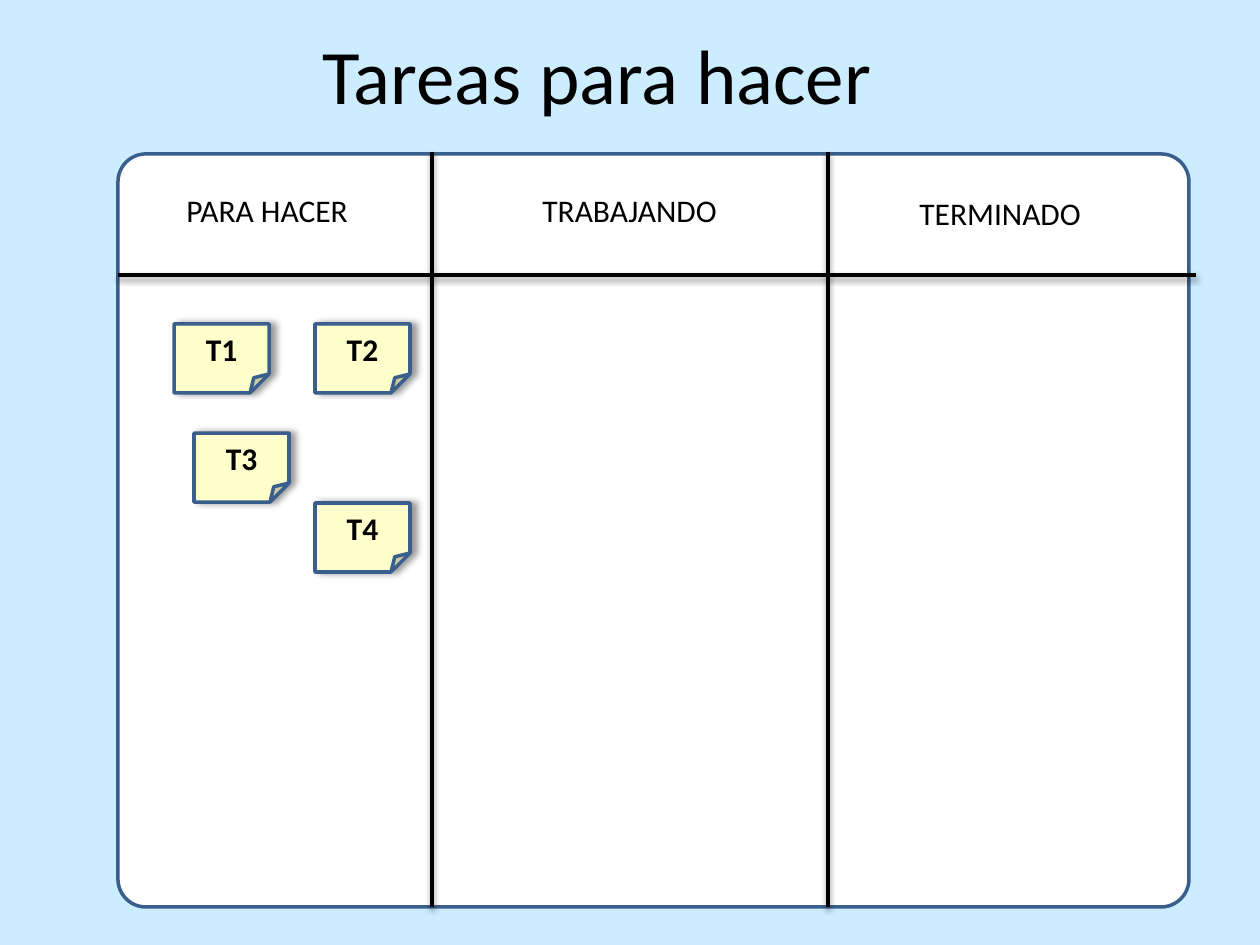
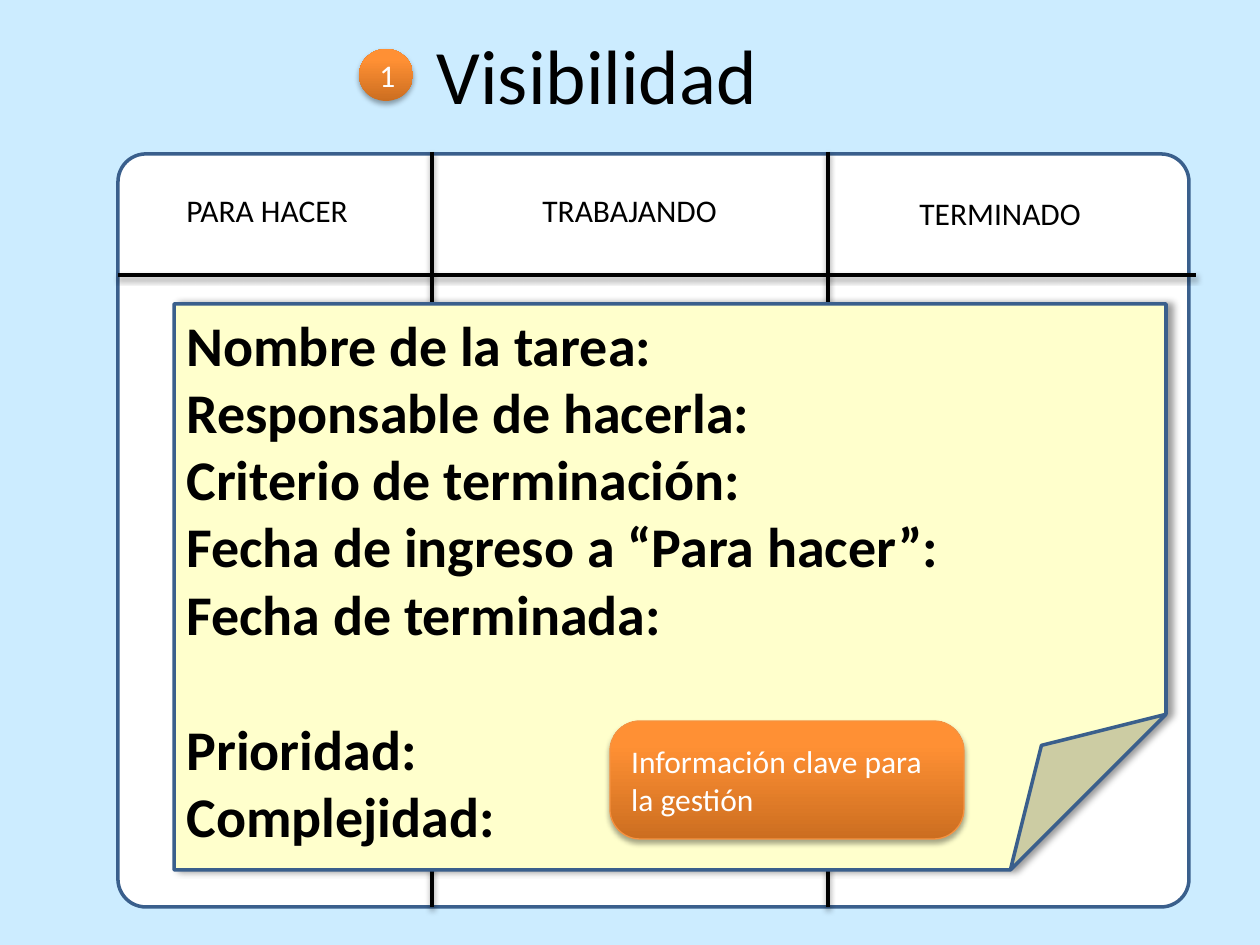
from copy import deepcopy

from pptx import Presentation
from pptx.dml.color import RGBColor
from pptx.enum.shapes import MSO_CONNECTOR as Connector, MSO_SHAPE as Shape
from pptx.enum.text import MSO_ANCHOR as Anchor, MSO_AUTO_SIZE as AutoSize, PP_ALIGN as Align
from pptx.oxml.ns import qn
from pptx.oxml.xmlchemy import OxmlElement
from pptx.util import Emu, Pt

PX = 914400 / 126
SKY = RGBColor(0xCC, 0xEC, 0xFF)
WHITE = RGBColor(0xFF, 0xFF, 0xFF)
BLACK = RGBColor(0, 0, 0)
BLUE = RGBColor(0x3A, 0x5F, 0x8C)
YELLOW = RGBColor(0xFF, 0xFF, 0xCC)
ORANGE = RGBColor(0xF6, 0x92, 0x40)
ORANGE_STOPS = [
    (0, RGBColor(0xCC, 0x6E, 0x20)),
    (0.8, RGBColor(0xFF, 0x90, 0x34)),
    (1, RGBColor(0xFF, 0x91, 0x36)),
]
# opacity in percent, blur and distance in points, direction in degrees
SOFT_SHADOW = (35, 3.1, 1.8, 90)
NOTE_SHADOW = (40, 4, 3, 0)

TITLE_BOX = (118, 21, 958, 106)
BOARD_BOX = (118, 154, 1071, 753)
RULES = [(118, 275, 1196, 275), (432, 152, 432, 907), (828, 152, 828, 907)]
HEADINGS = [
    ("PARA HACER", (174, 185, 188, 50)),
    ("TRABAJANDO", (530, 185, 202, 50)),
    ("TERMINADO", (907, 188, 188, 50)),
]
TASKS = [("T1", 174, 324), ("T2", 315, 324), ("T3", 194, 433), ("T4", 315, 503)]
CARD_FIELDS = [
    "Nombre de la tarea:",
    "Responsable de hacerla:",
    "Criterio de terminación:",
    "Fecha de ingreso a “Para hacer”:",
    "Fecha de terminada:",
    "Prioridad:",
    "Complejidad:",
]
HIGHLIGHTS = [
    ("Información clave para la gestión", Shape.ROUNDED_RECTANGLE, (610, 721, 354, 118), Align.LEFT),
    ("1", Shape.FLOWCHART_CONNECTOR, (359, 49, 54, 52), Align.CENTER),
]


def px(*lengths):
    return [Emu(round(length * PX)) for length in lengths]


def style(item, lines=(), size=18, color=BLACK, bold=False, align=Align.LEFT, shadow=None):
    """Write the lines of text into an item and give it a shadow, if any."""
    for index, line in enumerate(lines):
        frame = item.text_frame
        para = frame.add_paragraph() if index else frame.paragraphs[0]
        para.alignment = align
        span = para.add_run()
        span.text = line
        for name, value in {"name": "Calibri", "size": Pt(size), "bold": bold}.items():
            setattr(span.font, name, value)
        span.font.color.rgb = color
    if shadow:
        opacity, blur, distance, direction = shadow
        properties = item._element.spPr
        for old in properties.findall(qn("a:effectLst")):
            properties.remove(old)
        effects = OxmlElement("a:effectLst")
        outer = OxmlElement("a:outerShdw")
        for name, value in {"blurRad": Pt(blur), "dist": Pt(distance), "dir": direction * 60000}.items():
            outer.set(name, str(int(value)))
        tint = OxmlElement("a:srgbClr")
        tint.set("val", "000000")
        alpha = OxmlElement("a:alpha")
        alpha.set("val", str(opacity * 1000))
        tint.append(alpha)
        outer.append(tint)
        effects.append(outer)
        properties.append(effects)


deck = Presentation()
deck.slide_width, deck.slide_height = px(1260, 945)
background = deck.slide_master.background.fill
background.solid()
background.fore_color.rgb = SKY

# The board that both slides share
pages = []
for title_text in ["Tareas para hacer", "Visibilidad"]:
    page = deck.slides.add_slide(deck.slide_layouts[5])
    pages.append(page)
    title = page.shapes.title
    title.left, title.top, title.width, title.height = px(*TITLE_BOX)
    title.text_frame.auto_size = AutoSize.NONE
    style(title, [title_text], size=44, align=Align.CENTER)

    board = page.shapes.add_shape(Shape.ROUNDED_RECTANGLE, *px(*BOARD_BOX))
    board.adjustments[0] = 0.037
    board.shadow.inherit = False
    board.fill.solid()
    board.fill.fore_color.rgb = WHITE
    board.line.color.rgb = BLUE
    board.line.width = Pt(2)

    for ends in RULES:
        rule = page.shapes.add_connector(Connector.STRAIGHT, *px(*ends))
        rule.line.color.rgb = BLACK
        rule.line.width = Pt(2.25)
        style(rule, shadow=SOFT_SHADOW)

    for heading, place in HEADINGS:
        box = page.shapes.add_textbox(*px(*place))
        box.text_frame.word_wrap = False
        style(box, [heading])

tasks_page, card_page = pages

# Sticky notes: one for each task, and one enlarged as a card
notes = [
    (tasks_page, [task], (left, top, 95, 69), 18, Align.CENTER, Anchor.MIDDLE)
    for task, left, top in TASKS
]
notes.append((card_page, CARD_FIELDS, (174, 304, 992, 566), 32, Align.LEFT, Anchor.TOP))
for page, lines, place, size, align, anchor in notes:
    note = page.shapes.add_shape(Shape.FOLDED_CORNER, *px(*place))
    # python-pptx lists no adjustment for this shape
    fold = OxmlElement("a:gd")
    fold.set("name", "adj")
    fold.set("fmla", "val 27500")
    note._element.spPr.find(".//" + qn("a:avLst")).append(fold)
    note.fill.solid()
    note.fill.fore_color.rgb = YELLOW
    note.line.color.rgb = BLUE
    note.line.width = Pt(2)
    note.text_frame.vertical_anchor = anchor
    style(note, lines, size=size, bold=True, align=align, shadow=NOTE_SHADOW)
# The last note is the card: one line of space sets off its last two fields
note.text_frame.paragraphs[5].space_before = Pt(39)

# Orange callout and step number
for text, kind, place, align in HIGHLIGHTS:
    highlight = card_page.shapes.add_shape(kind, *px(*place))
    highlight.fill.gradient()
    highlight.fill.gradient_angle = 90
    stop_list = highlight._element.spPr.find(".//" + qn("a:gsLst"))
    stop_list.append(deepcopy(stop_list[0]))
    for stop, (position, color) in zip(highlight.fill.gradient_stops, ORANGE_STOPS):
        stop.position = position
        stop.color.rgb = color
    if kind == Shape.ROUNDED_RECTANGLE:
        highlight.adjustments[0] = 0.255
        highlight.line.color.rgb = ORANGE
        highlight.line.width = Pt(0.75)
    else:
        highlight.line.fill.background()
    highlight.text_frame.vertical_anchor = Anchor.MIDDLE
    style(highlight, [text], color=WHITE, align=align, shadow=SOFT_SHADOW)

deck.save("out.pptx")
